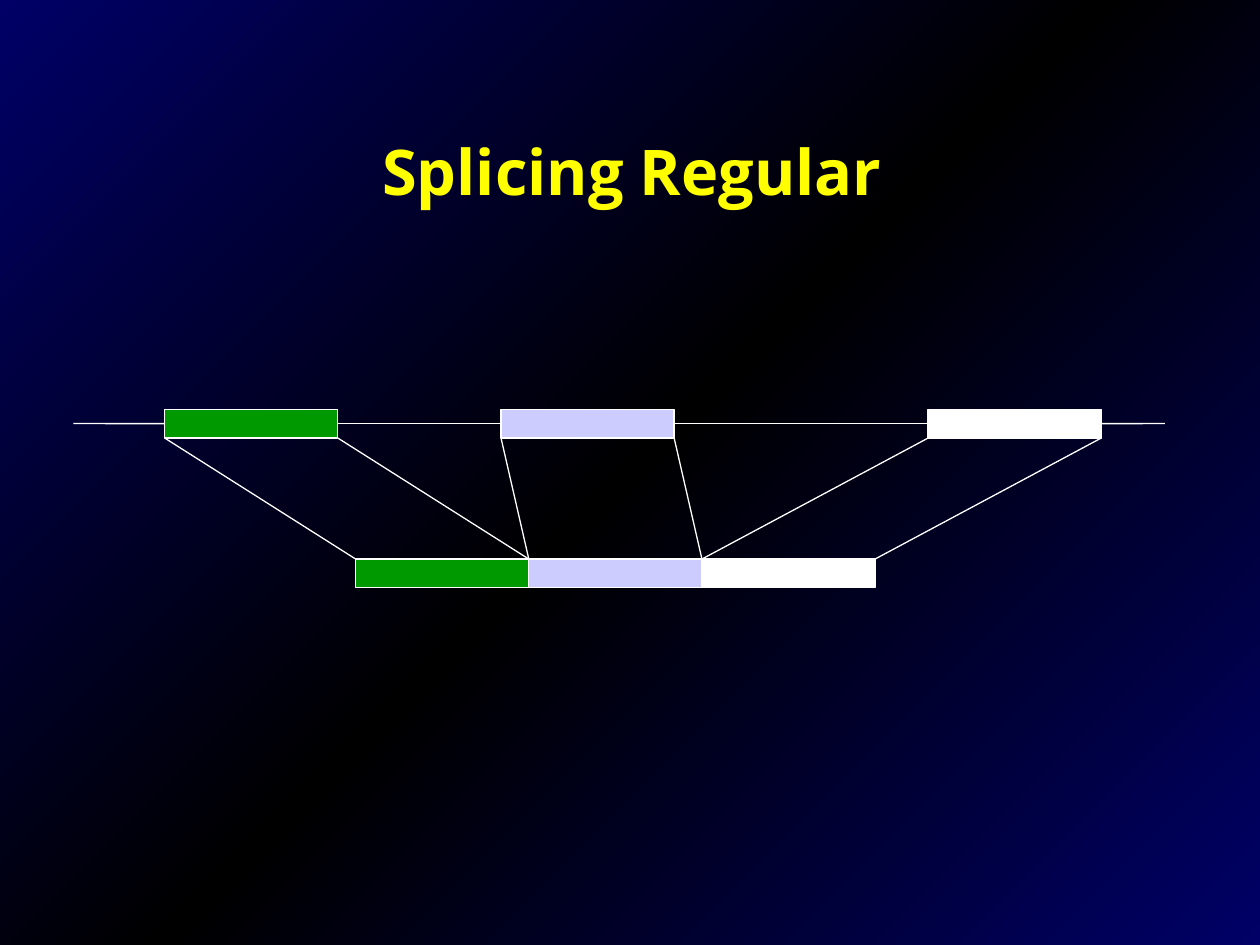
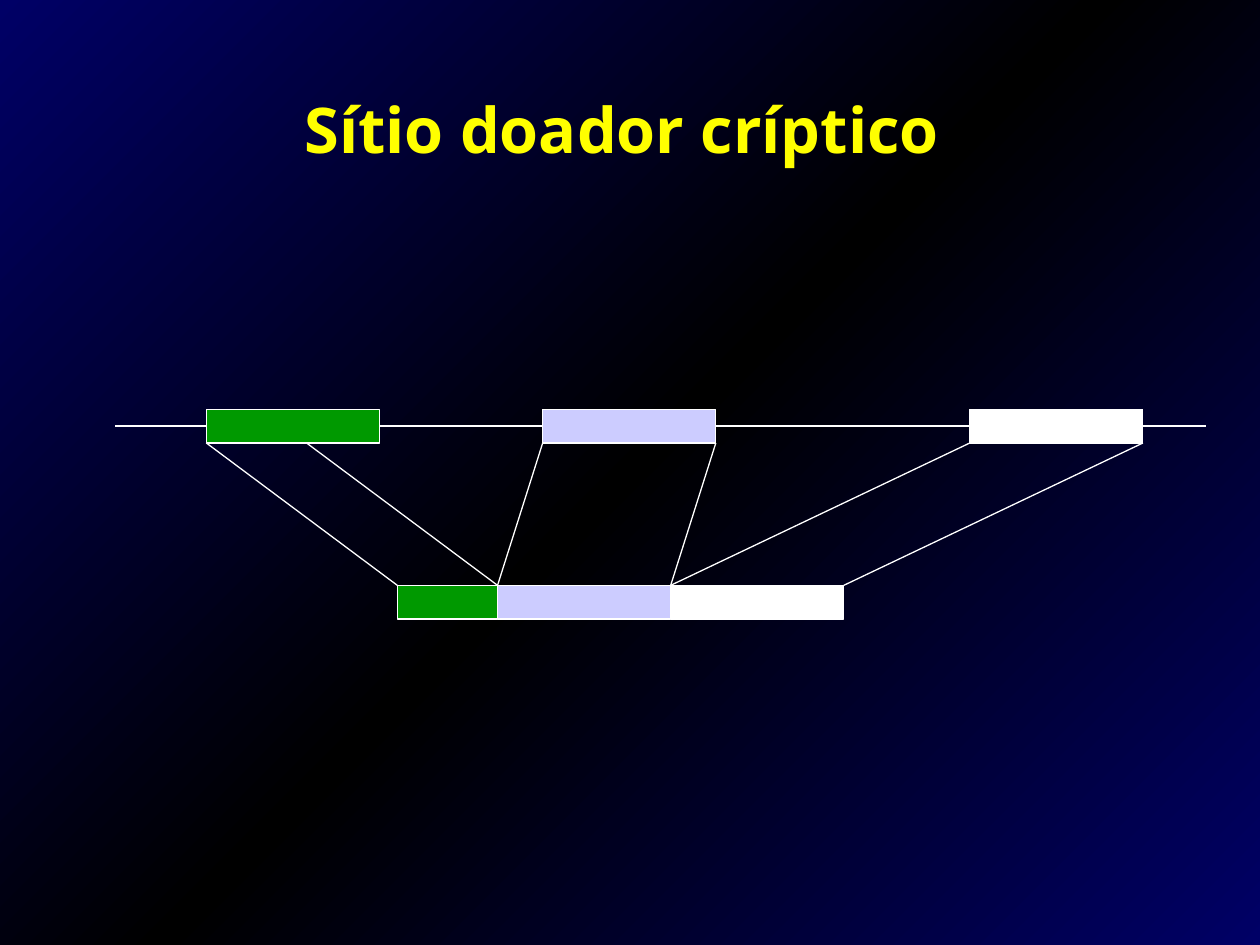
from copy import deepcopy

from lxml import etree
from pptx import Presentation
from pptx.dml.color import RGBColor
from pptx.enum.shapes import MSO_CONNECTOR, MSO_SHAPE
from pptx.enum.text import MSO_ANCHOR, MSO_AUTO_SIZE, PP_ALIGN
from pptx.oxml.ns import qn
from pptx.util import Cm, Pt

RECT = MSO_SHAPE.RECTANGLE
LINE = MSO_CONNECTOR.STRAIGHT
CENTER = PP_ALIGN.CENTER
MIDDLE = MSO_ANCHOR.MIDDLE
FIXED = MSO_AUTO_SIZE.NONE

NAVY, BLACK, WHITE, YELLOW = "000066", "000000", "FFFFFF", "FFFF00"
EXONS = [("009900", 1.84), ("CCCCFF", 8.62), ("FFFFFF", 17.23)]
WIDTH = 3.49
GENE = 22
INDENT = 5.69
TITLE_HIGH = 1.78
FRAME = {"word_wrap": True, "auto_size": FIXED, "vertical_anchor": MIDDLE,
         "margin_left": Cm(0.25), "margin_right": Cm(0.25),
         "margin_top": Cm(0.13), "margin_bottom": Cm(0.13)}
FONT = {"name": "Open Sans", "size": Pt(36), "bold": True}

SLIDES = [
    {"title": "Splicing Regular ", "head": (4.65, 2.54, 16.51),
     "box": (1.48, 8.25), "high": 0.58, "drop": 3.02, "kept": [WIDTH] * 3},
    {"title": "Sítio doador críptico ", "head": (0, 1.7, 25.4),
     "box": (2.32, 8.25), "high": 0.68, "drop": 3.55,
     "kept": [2.02, WIDTH, WIDTH]},
]


def color(code):
    return RGBColor.from_string(code)


def style(item, values):
    for name, value in values.items():
        setattr(item, name, value)


def backdrop(master):
    fill = master.background.fill
    fill.gradient()
    fill.gradient_angle = 135
    stops = master.element.find(".//" + qn("a:gsLst"))
    stops.insert(1, deepcopy(stops[0]))
    for stop, place, code in zip(fill.gradient_stops, (0, 0.5, 1),
                                 (NAVY, BLACK, NAVY)):
        stop.position = place
        stop.color.rgb = color(code)


def heading(slide, text, left, top, width):
    title = slide.shapes.title
    style(title, {"left": Cm(left), "top": Cm(top),
                  "width": Cm(width), "height": Cm(TITLE_HIGH)})
    frame = title.text_frame
    style(frame, FRAME)
    para = frame.paragraphs[0]
    para.alignment = CENTER
    run = para.add_run()
    run.text = text
    style(run.font, FONT)
    run.font.color.rgb = color(YELLOW)


def outline(shape):
    shape.line.color.rgb = color(WHITE)
    shape.line.width = Pt(0.75)


def block(group, left, top, width, high, code):
    shape = group.shapes.add_shape(RECT, Cm(left), Cm(top), Cm(width), Cm(high))
    shape.shadow.inherit = False
    shape.fill.solid()
    shape.fill.fore_color.rgb = color(code)
    outline(shape)
    return shape


def link(group, start, end):
    line = group.shapes.add_connector(LINE, *map(Cm, start + end))
    outline(line)
    etree.SubElement(line.element.spPr, qn("a:effectLst"))
    return line


def gene(group, left, top, high):
    exons = [block(group, left + shift, top, WIDTH, high, code)
             for code, shift in EXONS]
    mid = top + high / 2
    starts = [0] + [shift + WIDTH for _, shift in EXONS]
    ends = [shift for _, shift in EXONS] + [GENE]
    for start, end, prior, after in zip(starts, ends, [None] + exons,
                                        exons + [None]):
        line = link(group, (left + start, mid), (left + end, mid))
        if prior:
            line.begin_connect(prior, 3)
        if after:
            line.end_connect(after, 1)


def splice(slide, box, high, drop, kept):
    left, top = box
    group = slide.shapes.add_group_shape()
    gene(group, left, top, high)
    base = top + drop
    spot = left + INDENT
    for (code, shift), width in zip(EXONS, kept):
        block(group, spot, base, width, high, code)
        for edge in (0, width):
            link(group, (left + shift + edge, top + high), (spot + edge, base))
        spot += width


def main():
    deck = Presentation()
    deck.slide_width, deck.slide_height = Cm(25.4), Cm(19.05)
    backdrop(deck.slide_master)
    for plan in SLIDES:
        slide = deck.slides.add_slide(deck.slide_layouts[5])
        heading(slide, plan["title"], *plan["head"])
        splice(slide, plan["box"], plan["high"], plan["drop"], plan["kept"])
    deck.save("out.pptx")


if __name__ == "__main__":
    main()
